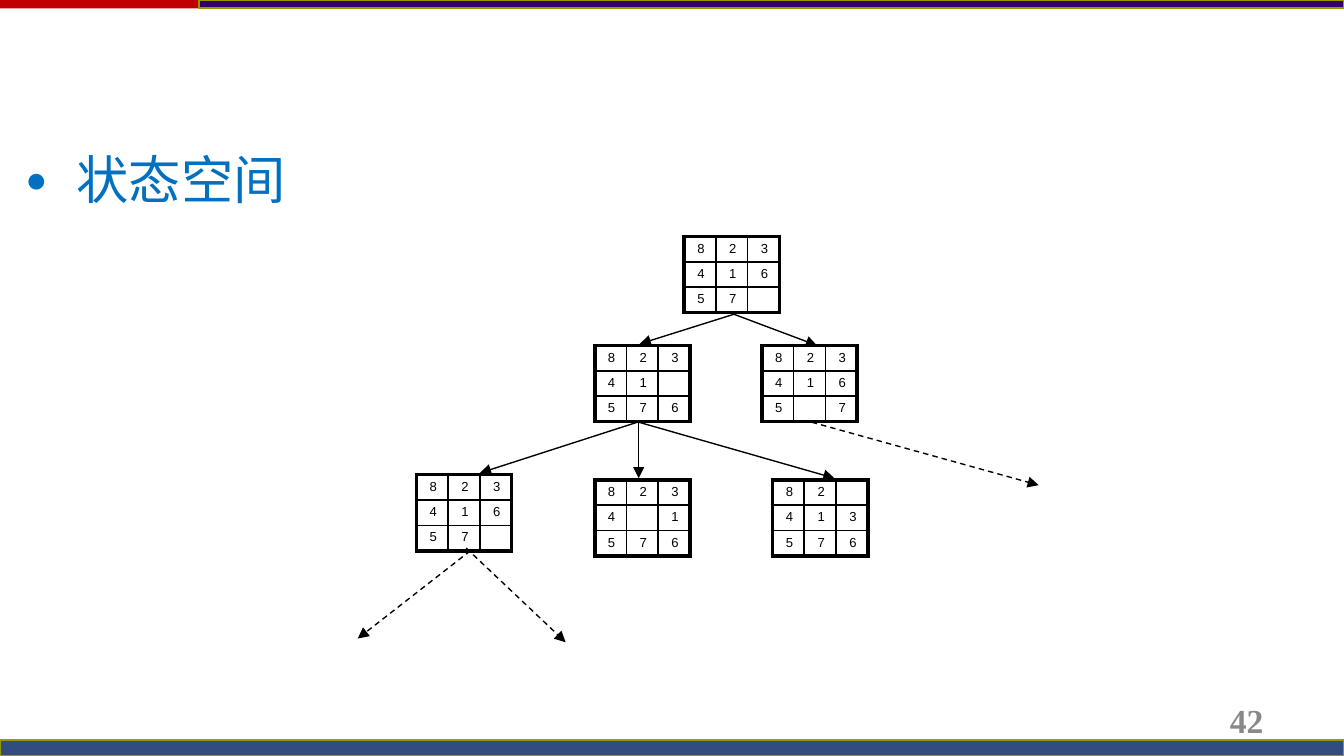
"""Build the state space slide: a tree of 8-puzzle boards under one bullet."""
from lxml import etree
from pptx import Presentation
from pptx.dml.color import RGBColor
from pptx.enum import dml, shapes, text
from pptx.oxml import ns
from pptx.util import Cm, Pt


class Theme:
    red = RGBColor.from_string("C00000")
    purple = RGBColor.from_string("330066")
    navy = RGBColor.from_string("002060")
    olive = RGBColor.from_string("979700")
    blue = RGBColor.from_string("0070C0")
    gray = RGBColor.from_string("898989")
    black = RGBColor.from_string("000000")
    bullet_font = "Noto Sans CJK SC"
    board_font = "Arial"
    number_font = "Times New Roman"
    bullet_size = Pt(28)
    board_size = Pt(7)
    number_size = Pt(18)
    outer_line = Pt(2.25)
    inner_line = Pt(1)
    arrow_line = Pt(0.75)


def add_xml(parent, tag, **attributes):
    child = etree.SubElement(parent, ns.qn(tag))
    for key, value in attributes.items():
        child.set(key, str(value))
    return child


def style_font(font, name, size, color):
    font.name = name
    font.size = size
    font.color.rgb = color


deck = Presentation()
deck.slide_width, deck.slide_height = Cm(25.4), Cm(14.29)
slide = deck.slides.add_slide(deck.slide_layouts[1])
title = slide.shapes.title
title._element.getparent().remove(title._element)

bars = [
    (0, 0, 25.4, 0.16, Theme.red, None, 100),
    (3.76, 0, 21.64, 0.15, Theme.purple, Theme.olive, 100),
    (0, 13.99, 25.4, 0.3, Theme.navy, Theme.olive, 80),
]
for left, top, width, height, color, edge, opacity in bars:
    bar = slide.shapes.add_shape(
        shapes.MSO_SHAPE.RECTANGLE, Cm(left), Cm(top), Cm(width), Cm(height))
    bar.shadow.inherit = False
    bar.fill.solid()
    bar.fill.fore_color.rgb = color
    if opacity < 100:
        fill_color = bar._element.spPr.find(".//" + ns.qn("a:srgbClr"))
        add_xml(fill_color, "a:alpha", val=opacity * 1000)
    if edge is None:
        bar.line.fill.background()
    else:
        bar.line.color.rgb = edge
        bar.line.width = Pt(0)

page_number = slide.shapes.add_textbox(Cm(18.21), Cm(13.23), Cm(5.92), Cm(0.76))
page_number.text_frame.word_wrap = True
page_number.text_frame.vertical_anchor = text.MSO_ANCHOR.MIDDLE
page_number.text_frame.text = "42"
number_line = page_number.text_frame.paragraphs[0]
number_line.alignment = text.PP_ALIGN.RIGHT
style_font(number_line.runs[0].font, Theme.number_font, Theme.number_size, Theme.gray)
number_line.runs[0].font.bold = True

topic = slide.placeholders[1]
topic.left, topic.top, topic.width, topic.height = Cm(0), Cm(2.79), Cm(22.23), Cm(10.34)
topic.text_frame.auto_size = text.MSO_AUTO_SIZE.NONE
topic.text_frame.margin_left = Cm(0.48)
topic.text_frame.text = "状态空间"
topic_line = topic.text_frame.paragraphs[0]
topic_line.alignment = text.PP_ALIGN.JUSTIFY
topic_line.line_spacing = 0.9
topic_line.space_before = Pt(0)
topic_format = topic_line._p.get_or_add_pPr()
topic_format.set("marL", str(Cm(0.97)))
topic_format.set("indent", str(-Cm(0.97)))
add_xml(add_xml(topic_format, "a:buClr"), "a:srgbClr", val=Theme.blue)
add_xml(topic_format, "a:buSzPct", val=70000)
add_xml(topic_format, "a:buChar", char="●")
topic_run = topic_line.runs[0]
style_font(topic_run.font, Theme.bullet_font, Theme.bullet_size, Theme.blue)
add_xml(topic_run._r.get_or_add_rPr(), "a:ea", typeface=Theme.bullet_font)

boards = [
    (12.93, 4.47, ("823", "416", "57 ")),
    (11.24, 6.53, ("823", "41 ", "576")),
    (14.4, 6.53, ("823", "416", "5 7")),
    (14.6, 9.07, ("82 ", "413", "576")),
    (11.24, 9.07, ("823", "4 1", "576")),
    (7.87, 8.97, ("823", "416", "57 ")),
]
cell_width, cell_height = 0.6, 0.48
for left, top, tiles in boards:
    board = slide.shapes.add_table(
        3, 3, Cm(left), Cm(top), Cm(3 * cell_width), Cm(3 * cell_height)).table
    board.first_row = board.horz_banding = False
    for index in range(3):
        board.columns[index].width = Cm(cell_width)
        board.rows[index].height = Cm(cell_height)
    for row, row_tiles in enumerate(tiles):
        for column, tile in enumerate(row_tiles):
            cell = board.cell(row, column)
            cell.margin_left = cell.margin_right = Cm(0.25)
            cell.margin_top = cell.margin_bottom = Cm(0.09)
            tile_line = cell.text_frame.paragraphs[0]
            if tile == " ":
                add_xml(tile_line._p, "a:endParaRPr", sz=int(Theme.board_size.pt * 100))
            else:
                tile_line.text = tile
                style_font(tile_line.runs[0].font,
                           Theme.board_font, Theme.board_size, Theme.black)
            sides = {"a:lnL": column == 0, "a:lnR": column == 2,
                     "a:lnT": row == 0, "a:lnB": row == 2}
            for side, is_outer in sides.items():
                border = add_xml(cell._tc.get_or_add_tcPr(), side,
                                 w=Theme.outer_line if is_outer else Theme.inner_line)
                add_xml(add_xml(border, "a:solidFill"), "a:srgbClr", val=Theme.black)
            cell.fill.background()

moves = [
    (13.87, 5.94, 12.09, 6.5, False),
    (13.87, 5.94, 15.44, 6.53, False),
    (12.14, 7.95, 9.07, 8.94, False),
    (12.07, 7.95, 12.07, 9.04, False),
    (12.07, 7.98, 15.77, 9.04, False),
    (15.34, 7.98, 19.63, 9.17, True),
    (8.89, 10.41, 6.76, 12.07, True),
    (8.81, 10.36, 10.69, 12.14, True),
]
for start_x, start_y, end_x, end_y, is_dashed in moves:
    move = slide.shapes.add_connector(
        shapes.MSO_CONNECTOR.STRAIGHT, Cm(start_x), Cm(start_y), Cm(end_x), Cm(end_y))
    move.line.color.rgb = Theme.black
    move.line.width = Theme.arrow_line
    if is_dashed:
        move.line.dash_style = dml.MSO_LINE.DASH
    add_xml(move.line._get_or_add_ln(), "a:tailEnd", type="triangle")
    add_xml(move._element.spPr, "a:effectLst")

deck.save("out.pptx")
